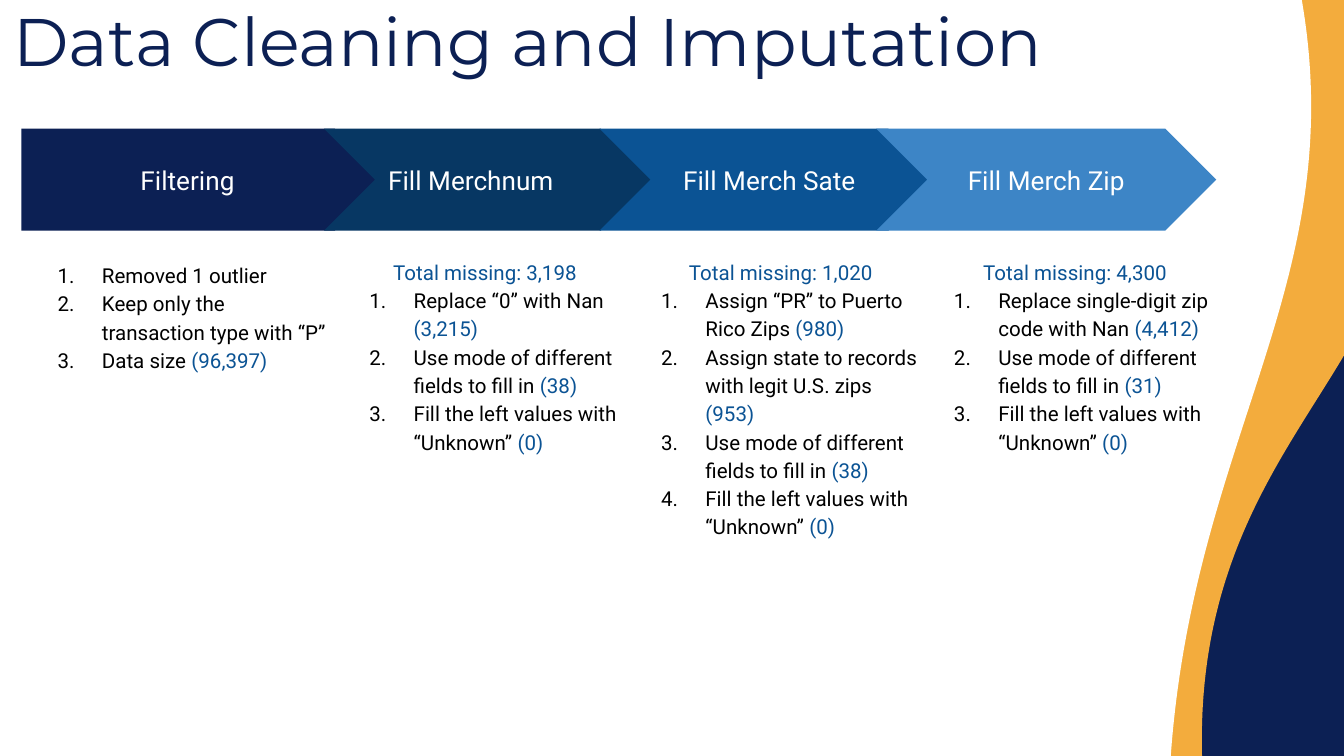
from dataclasses import dataclass
from typing import NamedTuple

from lxml.etree import SubElement
from pptx import Presentation
from pptx.dml.color import RGBColor
from pptx.enum.shapes import MSO_SHAPE as Shape
from pptx.enum.text import MSO_ANCHOR as Anchor, PP_ALIGN as Align
from pptx.oxml.ns import qn
from pptx.util import Inches, Pt

CELL = 0.1
COLS, ROWS = 100, 56.25


@dataclass(frozen=True)
class Theme:
    navy: str = "0C2054"
    orange: str = "F3AC3D"
    white: str = "FFFFFF"
    ink: str = "000000"
    figure: str = "0B5394"
    steps: tuple = ("0C2054", "073763", "0B5394", "3D85C6")
    title_font: str = "Montserrat"
    body_font: str = "Roboto"
    title_size: int = 36
    step_size: int = 14
    body_size: int = 11
    spacing: float = 1.15


class Box(NamedTuple):
    col: float
    row: float
    cols: float
    rows: float


class Item(NamedTuple):
    text: str
    figure: str = ""


@dataclass(frozen=True)
class Step:
    name: str
    arrow: Box
    notes: Box
    items: tuple[Item, ...]
    missing: str = ""
    align: Align = Align.CENTER


THEME = Theme()
ARROW_ROW, ARROW_ROWS = 9.57, 7.6
NOTES_ROW = 18.05
UNKNOWN = Item("Fill the left values with “Unknown” ", "(0)")


def mode_item(count: int) -> Item:
    return Item("Use mode of different fields to fill in ", f"({count})")


STEPS = (
    Step("Filtering ", Box(1.6, ARROW_ROW, 27.1, ARROW_ROWS), Box(1.6, 18.3, 24, 27.9),
         (Item("Removed 1 outlier"),
          Item("Keep only the transaction type with “P”"),
          Item("Data size ", "(96,397)"))),
    Step("Fill Merchnum", Box(24.1, ARROW_ROW, 24.4, ARROW_ROWS),
         Box(24.8, NOTES_ROW, 22.6, 27.1),
         (Item("Replace “0” with Nan ", "(3,215)"), mode_item(38), UNKNOWN),
         "3,198", Align.LEFT),
    Step("Fill Merch Sate", Box(44.6, ARROW_ROW, 25.3, ARROW_ROWS),
         Box(46.5, NOTES_ROW, 23.2, 23.4),
         (Item("Assign “PR” to Puerto Rico Zips ", "(980)"),
          Item("Assign state to records with legit U.S. zips ", "(953)"),
          mode_item(38), UNKNOWN),
         "1,020"),
    Step("Fill Merch Zip", Box(65.2, ARROW_ROW, 25.3, ARROW_ROWS),
         Box(68.3, NOTES_ROW, 23.4, 23.4),
         (Item("Replace single-digit zip code with Nan ", "(4,412)"), mode_item(31), UNKNOWN),
         "4,300"),
)


def emu(box: Box) -> list[int]:
    return [Inches(n * CELL) for n in box]


def add_run(p, text: str, size: int, color: str, font: str = THEME.body_font) -> None:
    r = p.add_run()
    r.text = text
    r.font.size = Pt(size)
    r.font.name = font
    r.font.color.rgb = RGBColor.from_string(color)


def set_frame(sp, anchor: Anchor):
    tf = sp.text_frame
    tf.word_wrap = True
    tf.vertical_anchor = anchor
    tf.margin_left = tf.margin_right = tf.margin_top = tf.margin_bottom = Inches(CELL)
    return tf


def add_solid(s, kind: Shape, box: Box, color: str):
    sp = s.shapes.add_shape(kind, *emu(box))
    sp.shadow.inherit = False
    sp.fill.solid()
    sp.fill.fore_color.rgb = RGBColor.from_string(color)
    sp.line.fill.background()
    return sp


def add_wave(s, box: Box, color: str, angle: float) -> None:
    sp = add_solid(s, Shape.FLOWCHART_DOCUMENT, box, color)
    sp.rotation = angle
    sp.element.spPr.find(qn("a:xfrm")).set("flipH", "1")


def add_arrow(s, step: Step, kind: Shape, color: str) -> None:
    sp = add_solid(s, kind, step.arrow, color)
    sp.adjustments[0] = 0.5
    p = set_frame(sp, Anchor.MIDDLE).paragraphs[0]
    p.alignment = step.align
    add_run(p, step.name, THEME.step_size, THEME.white)


def number(p) -> None:
    pPr = p._p.get_or_add_pPr()
    pPr.set("marL", str(Inches(0.5)))
    pPr.set("indent", str(-Inches(0.33)))
    SubElement(SubElement(pPr, qn("a:buClr")), qn("a:srgbClr")).set("val", THEME.ink)
    SubElement(pPr, qn("a:buFont")).set("typeface", THEME.body_font)
    SubElement(pPr, qn("a:buAutoNum")).set("type", "arabicPeriod")


def add_notes(s, step: Step) -> None:
    tf = set_frame(s.shapes.add_textbox(*emu(step.notes)), Anchor.TOP)
    lines = ((None,) if step.missing else ()) + step.items
    for i, item in enumerate(lines):
        p = tf.add_paragraph() if i else tf.paragraphs[0]
        p.line_spacing = THEME.spacing
        if item is None:
            p.alignment = Align.CENTER
            add_run(p, f"Total missing: {step.missing}", THEME.body_size, THEME.figure)
            continue
        number(p)
        add_run(p, item.text, THEME.body_size, THEME.ink)
        if item.figure:
            add_run(p, item.figure, THEME.body_size, THEME.figure)


def add_title(s, text: str) -> None:
    tf = set_frame(s.shapes.add_textbox(*emu(Box(0, 0.05, COLS, 5.8))), Anchor.MIDDLE)
    add_run(tf.paragraphs[0], text, THEME.title_size, THEME.navy, THEME.title_font)


def main() -> None:
    prs = Presentation()
    prs.slide_width, prs.slide_height = Inches(COLS * CELL), Inches(ROWS * CELL)
    s = prs.slides.add_slide(prs.slide_layouts[6])
    s.background.fill.solid()
    s.background.fill.fore_color.rgb = RGBColor.from_string(THEME.navy)
    add_wave(s, Box(30.9, -16.9, 60.3, 90), THEME.orange, 267.6)
    add_wave(s, Box(-1.1, -21.9, 99.8, 107), THEME.white, 261.7)
    add_title(s, "Data Cleaning and Imputation")
    for i, step in enumerate(STEPS):
        add_arrow(s, step, Shape.CHEVRON if i else Shape.PENTAGON, THEME.steps[i])
        add_notes(s, step)
    prs.save("out.pptx")


if __name__ == "__main__":
    main()
